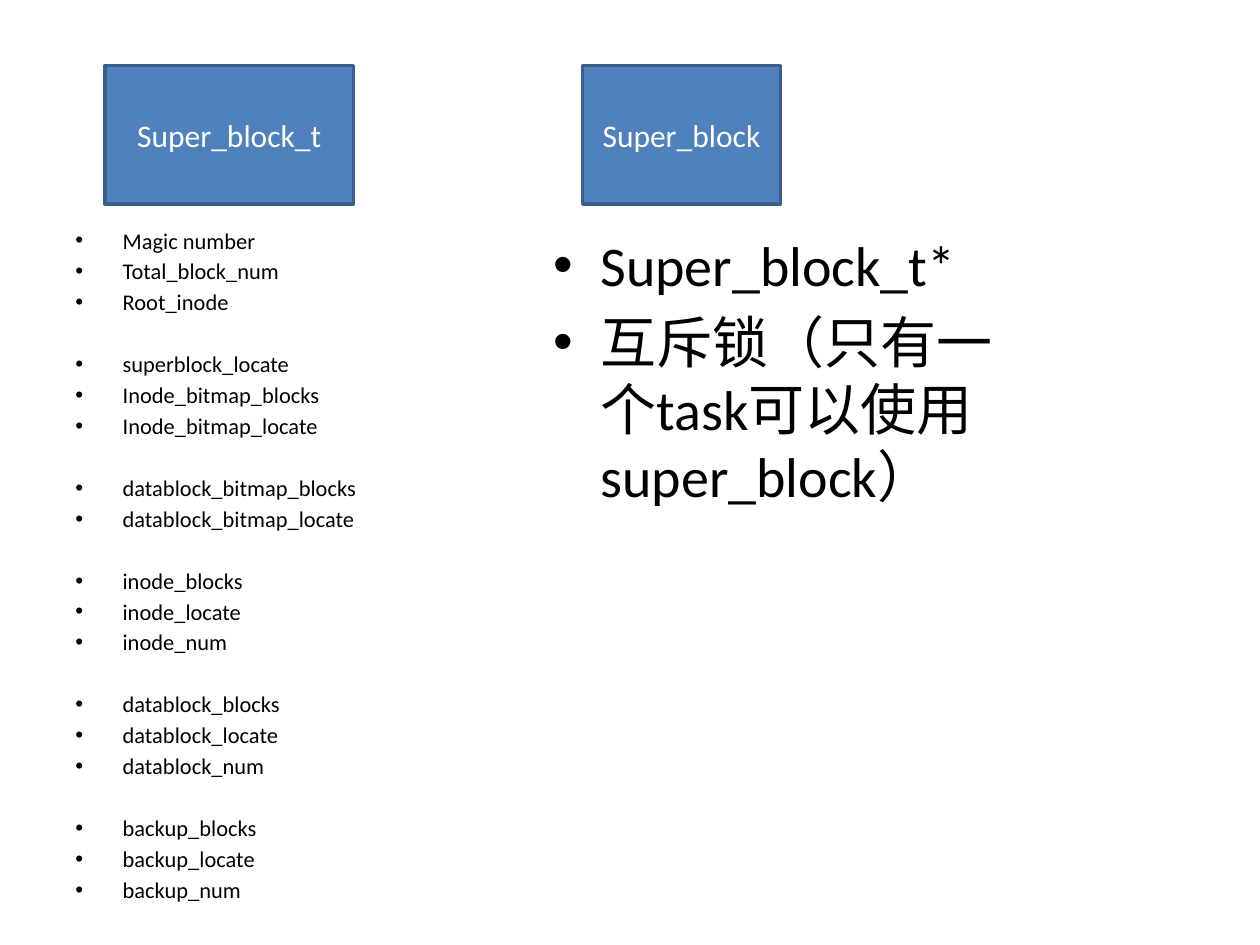
from lxml import etree
from pptx import Presentation
from pptx.dml.color import RGBColor
from pptx.enum.shapes import MSO_SHAPE
from pptx.enum.text import MSO_ANCHOR, PP_ALIGN
from pptx.oxml.ns import qn
from pptx.util import Pt

RECTANGLE = MSO_SHAPE.RECTANGLE
MIDDLE = MSO_ANCHOR.MIDDLE
CENTER = PP_ALIGN.CENTER

FONT = "Calibri"
COLORS = {"block": "4F81BD", "border": "3A5F8C", "title": "FFFFFF", "field": "000000"}
INDENT = 27
SPACING_RATIO = 0.175
LINE_RATIO = 1.22

DISK_FIELDS = [
    ["Magic number", "Total_block_num", "Root_inode"],
    ["superblock_locate", "Inode_bitmap_blocks", "Inode_bitmap_locate"],
    ["datablock_bitmap_blocks", "datablock_bitmap_locate"],
    ["inode_blocks", "inode_locate", "inode_num"],
    ["datablock_blocks", "datablock_locate", "datablock_num"],
    ["backup_blocks", "backup_locate", "backup_num"],
]
MEMORY_FIELDS = [["Super_block_t*", "互斥锁（只有一个task可以使用super_block）"]]


def color(name):
    """Return the named colour."""
    return RGBColor.from_string(COLORS[name])


def style_text(paragraph, size, color_name):
    """Set the font of every run in a paragraph."""
    for run in paragraph.runs:
        run.font.name = FONT
        run.font.size = Pt(size)
        run.font.color.rgb = color(color_name)


def add_bullet(paragraph):
    """Give a paragraph a round bullet and a hanging indent."""
    properties = paragraph._p.get_or_add_pPr()
    properties.set("marL", str(Pt(INDENT)))
    properties.set("indent", str(-Pt(INDENT)))
    etree.SubElement(properties, qn("a:buFont")).set("typeface", "Arial")
    etree.SubElement(properties, qn("a:buChar")).set("char", "•")


def add_block(slide, box, name):
    """Draw the titled rectangle of a structure."""
    block = slide.shapes.add_shape(RECTANGLE, *map(Pt, box))
    block.shadow.inherit = False
    block.fill.solid()
    block.fill.fore_color.rgb = color("block")
    block.line.color.rgb = color("border")
    block.line.width = Pt(2)
    frame = block.text_frame
    frame.text = name
    frame.vertical_anchor = MIDDLE
    title = frame.paragraphs[0]
    title.alignment = CENTER
    style_text(title, 18, "title")


def add_fields(slide, box, groups, size):
    """List the fields of a structure, with a one-line gap between groups."""
    frame = slide.shapes.add_textbox(*map(Pt, box)).text_frame
    frame.word_wrap = True
    frame.text = "\n".join(field for group in groups for field in group)
    spacing = size * SPACING_RATIO
    group_spacing = 2 * spacing + size * LINE_RATIO
    positions = [position for group in groups for position in range(len(group))]
    for index, (field, position) in enumerate(zip(frame.paragraphs, positions)):
        starts_group = index > 0 and position == 0
        field.space_before = Pt(round(group_spacing if starts_group else spacing, 2))
        add_bullet(field)
        style_text(field, size, "field")


def add_structure(slide, box, name, block_width, groups, size, list_top):
    """Place a structure's titled block above its list of fields."""
    left, top, width, height = box
    add_block(slide, (left + 24, top, block_width, 79), name)
    add_fields(slide, (left, top + list_top, width, height - list_top), groups, size)


def main():
    """Build the slide and save it."""
    deck = Presentation()
    deck.slide_width, deck.slide_height = Pt(720), Pt(540)
    slide = deck.slides.add_slide(deck.slide_layouts[6])
    add_structure(slide, (36, 37.5, 216, 487.5), "Super_block_t", 142,
                  DISK_FIELDS, 12.8, 88.5)
    add_structure(slide, (309, 37.5, 294.5, 294.5), "Super_block", 113,
                  MEMORY_FIELDS, 32, 90.5)
    deck.save("out.pptx")


if __name__ == "__main__":
    main()
